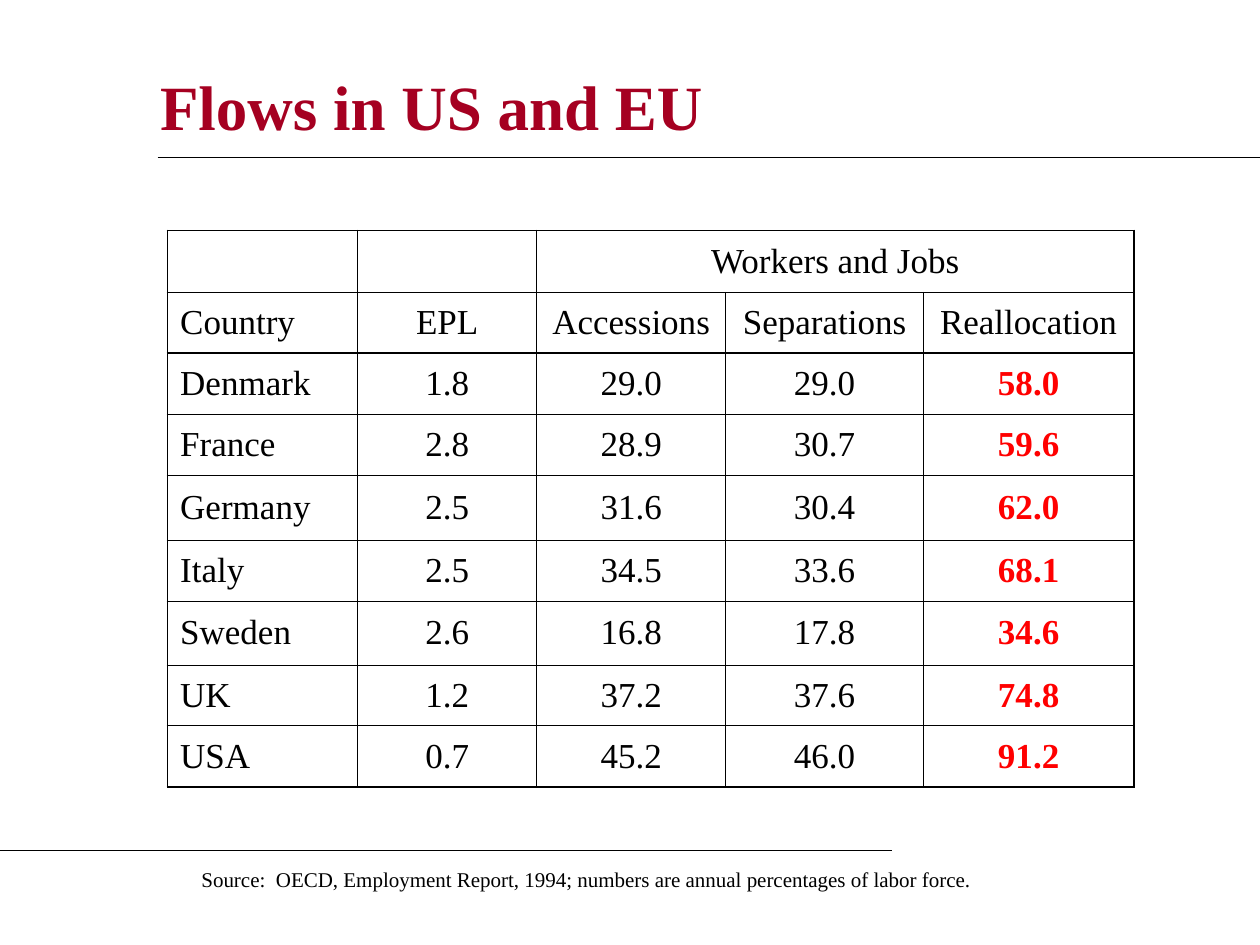
from dataclasses import dataclass

from lxml import etree
from pptx import Presentation
from pptx.dml.color import RGBColor
from pptx.enum.shapes import MSO_CONNECTOR
from pptx.enum.text import MSO_ANCHOR, PP_ALIGN
from pptx.oxml import parse_xml
from pptx.oxml.ns import nsdecls, qn
from pptx.util import Inches, Pt

LEFT, CENTER = PP_ALIGN.LEFT, PP_ALIGN.CENTER
MIDDLE, TOP = MSO_ANCHOR.MIDDLE, MSO_ANCHOR.TOP
STRAIGHT = MSO_CONNECTOR.STRAIGHT


@dataclass(frozen=True)
class Theme:
    font: str = "Times New Roman"
    ink: str = "000000"
    head: str = "A50021"
    mark: str = "FF0000"
    head_size: int = 36
    cell_size: int = 20
    note_size: int = 12
    rule: float = 0.75
    thin: float = 0.45
    thick: float = 1.08


theme = Theme()


def write(frame, text, size, color, bold=False, align=LEFT, anchor=MIDDLE):
    frame.text = text
    frame.word_wrap = True
    frame.vertical_anchor = anchor
    para = frame.paragraphs[0]
    para.alignment = align
    for run in para.runs:
        font = run.font
        font.name, font.size, font.bold = theme.font, Pt(size), bold
        font.color.rgb = RGBColor.from_string(color)


def edge(side, width):
    return parse_xml(
        f'<a:ln{side} {nsdecls("a")} w="{Pt(width)}"><a:solidFill>'
        f'<a:srgbClr val="{theme.ink}"/></a:solidFill></a:ln{side}>'
    )


deck = Presentation()
deck.slide_width, deck.slide_height = Inches(10), Inches(7.5)
slide = deck.slides.add_slide(deck.slide_layouts[5])
shapes = slide.shapes

# Title
title = shapes.title
title.left, title.top = Inches(1.17), Inches(0.25)
title.width, title.height = Inches(8.5), Inches(1.17)
write(title.text_frame, "Flows in US and EU", theme.head_size, theme.head, bold=True)

# Rules below the title and above the source
for start, end, y in [(1.25, 10, 1.25), (0, 7.08, 6.75)]:
    line = shapes.add_connector(STRAIGHT, Inches(start), Inches(y), Inches(end), Inches(y))
    line.line.color.rgb = RGBColor.from_string(theme.ink)
    line.line.width = Pt(theme.rule)
    etree.SubElement(line._element.spPr, qn("a:effectLst"))

# Table of flows
rows = [
    ["", "", "Workers and Jobs", "", ""],
    ["Country", "EPL", "Accessions", "Separations", "Reallocation"],
    ["Denmark", "1.8", "29.0", "29.0", "58.0"],
    ["France", "2.8", "28.9", "30.7", "59.6"],
    ["Germany", "2.5", "31.6", "30.4", "62.0"],
    ["Italy", "2.5", "34.5", "33.6", "68.1"],
    ["Sweden", "2.6", "16.8", "17.8", "34.6"],
    ["UK", "1.2", "37.2", "37.6", "74.8"],
    ["USA", "0.7", "45.2", "46.0", "91.2"],
]
widths = [1.51, 1.42, 1.5, 1.57, 1.67]
heights = [0.49, 0.48, 0.49, 0.48, 0.52, 0.48, 0.51, 0.48, 0.49]
last_row, last_col = len(rows) - 1, len(widths) - 1
heads = 2

table = shapes.add_table(
    len(rows), len(widths), Inches(1.33), Inches(1.83),
    Inches(sum(widths)), Inches(sum(heights)),
).table
table.first_row = table.horz_banding = False
for col, width in zip(table.columns, widths):
    col.width = Inches(width)
for row, height in zip(table.rows, heights):
    row.height = Inches(height)
table.cell(0, 2).merge(table.cell(0, last_col))

for r, row in enumerate(rows):
    for c, text in enumerate(row):
        cell = table.cell(r, c)
        cell.fill.background()
        cell.vertical_anchor = MIDDLE
        if text:
            hot = r >= heads and c == last_col
            write(cell.text_frame, text, theme.cell_size,
                  theme.mark if hot else theme.ink, hot, CENTER if c else LEFT)

        # Thick lines go round the table and under the headings
        end = c + cell.span_width - 1 if cell.is_merge_origin else c
        bold = {
            "L": c == 0,
            "R": end == last_col,
            "T": r in (0, heads),
            "B": r in (heads - 1, last_row),
        }
        if cell.is_spanned:
            del bold["L"]
            if c < last_col:
                del bold["R"]
        props = cell._tc.get_or_add_tcPr()
        for i, (side, heavy) in enumerate(bold.items()):
            props.insert(i, edge(side, theme.thick if heavy else theme.thin))

# Source
note = shapes.add_textbox(Inches(1.5), Inches(6.83), Inches(6.42), Inches(0.3))
write(
    note.text_frame,
    "Source:  OECD, Employment Report, 1994; numbers are annual percentages of labor force.",
    theme.note_size, theme.ink, anchor=TOP,
)

deck.save("out.pptx")
